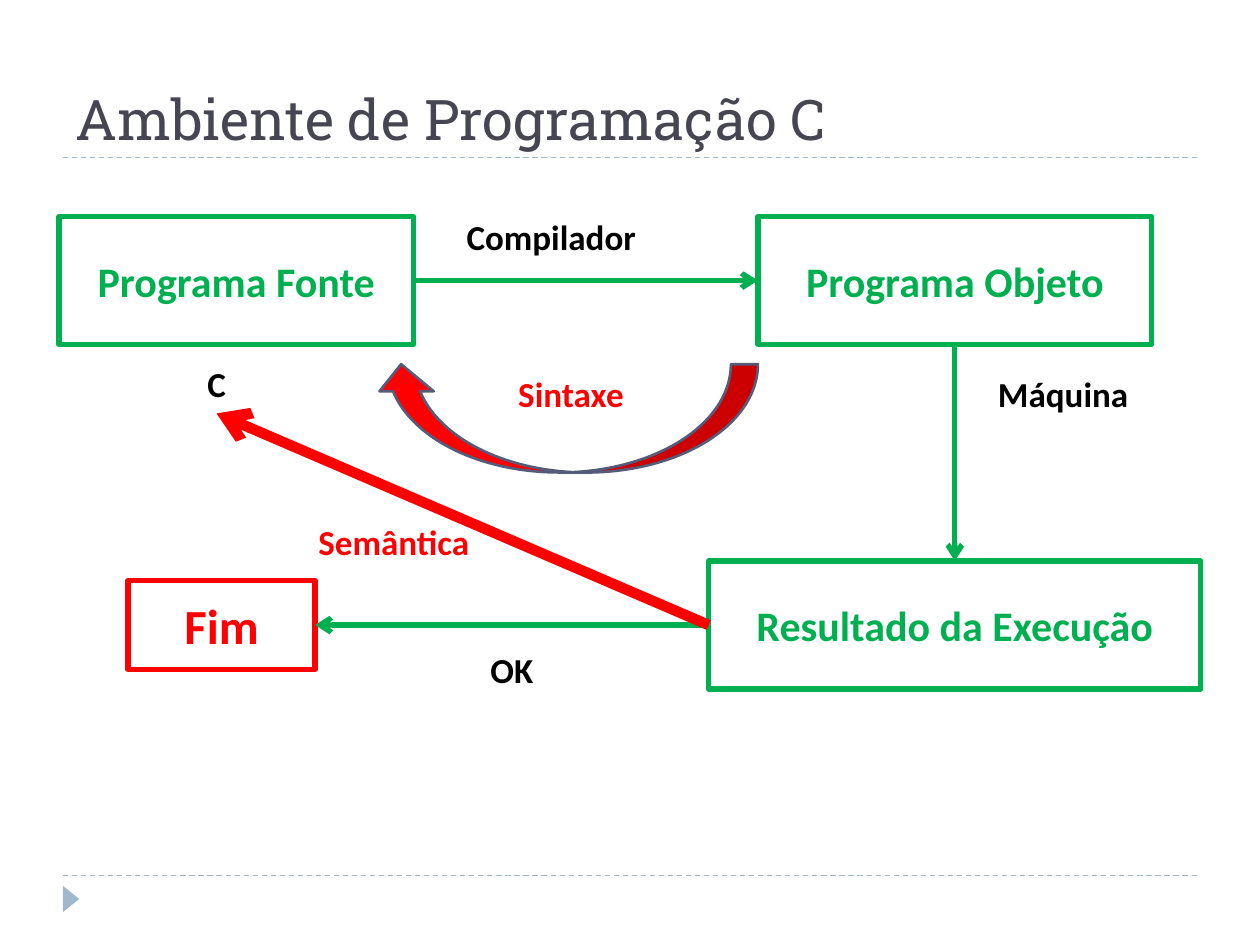
from lxml import etree
from pptx import Presentation
from pptx.dml.color import RGBColor
from pptx.enum.dml import MSO_LINE
from pptx.enum.shapes import MSO_CONNECTOR, MSO_SHAPE
from pptx.enum.text import MSO_ANCHOR, PP_ALIGN
from pptx.oxml.ns import qn
from pptx.util import Inches, Pt

RECTANGLE = MSO_SHAPE.RECTANGLE
TRIANGLE = MSO_SHAPE.ISOSCELES_TRIANGLE
CURVED_ARROW = MSO_SHAPE.CURVED_UP_ARROW
STRAIGHT = MSO_CONNECTOR.STRAIGHT
DASH = MSO_LINE.DASH
MIDDLE, BOTTOM = MSO_ANCHOR.MIDDLE, MSO_ANCHOR.BOTTOM
LEFT, CENTER = PP_ALIGN.LEFT, PP_ALIGN.CENTER

WHITE = RGBColor(0xFF, 0xFF, 0xFF)
BLACK = RGBColor(0, 0, 0)
GREEN = RGBColor(0x00, 0xB0, 0x50)
RED = RGBColor(0xFF, 0, 0)
SLATE = RGBColor(0x46, 0x46, 0x53)
OUTLINE = RGBColor(0x54, 0x5C, 0x79)
PALE_BLUE = RGBColor(0x9F, 0xB8, 0xCD)

BODY_FONT, TITLE_FONT = "Calibri", "Roboto Slab"
WIDTH, HEIGHT = Inches(10), Inches(7.5)
UNIT = WIDTH / 64  # the slide is a grid of 64 columns by 48 rows
TOP_SIDE, LEFT_SIDE, BOTTOM_SIDE, RIGHT_SIDE = range(4)


def grid(*cells):
    return [round(cell * UNIT) for cell in cells]


def write(shape, text, size, color, font=BODY_FONT, bold=True,
          align=CENTER, anchor=MIDDLE):
    frame = shape.text_frame
    frame.word_wrap = True
    frame.vertical_anchor = anchor
    paragraph = frame.paragraphs[0]
    paragraph.alignment = align
    run = paragraph.add_run()
    run.text = text
    run.font.name = font
    run.font.size = Pt(size)
    run.font.bold = bold
    run.font.color.rgb = color


def add_figure(slide, kind, place, fill, line=None, weight=1.5):
    shape = slide.shapes.add_shape(kind, *grid(*place))
    shape.shadow.inherit = False
    shape.fill.solid()
    shape.fill.fore_color.rgb = fill
    if line is None:
        shape.line.fill.background()
    else:
        shape.line.color.rgb = line
        shape.line.width = Pt(weight)
    return shape


def add_box(slide, text, place, color, size=24):
    box = add_figure(slide, RECTANGLE, place, WHITE, color, 3)
    write(box, text, size, color)
    return box


def add_label(slide, text, column, row, color=BLACK, columns=12):
    label = add_figure(slide, RECTANGLE, (column, row, columns, 3), WHITE, WHITE)
    write(label, text, 20, color)


def add_line(slide, start, end, color, weight):
    connector = slide.shapes.add_connector(STRAIGHT, *grid(*start, *end))
    connector.line.color.rgb = color
    connector.line.width = Pt(weight)
    etree.SubElement(connector._element.spPr, qn("a:effectLst"))
    return connector


def add_arrow(slide, source, side, target=None, target_side=None,
              end=(0, 0), color=GREEN, weight=3):
    """Arrow from a box side to another box side, or to a free grid point."""
    arrow = add_line(slide, (0, 0), end, color, weight)
    arrow.begin_connect(source, side)
    if target is not None:
        arrow.end_connect(target, target_side)
    etree.SubElement(arrow.line._get_or_add_ln(), qn("a:tailEnd"), type="arrow")


def add_frame(slide):
    # Dashed rules and corner marker
    for row in (8, 44.48):
        rule = add_line(slide, (3.2, row), (60.8, row), PALE_BLUE, 0.75)
        rule.line.dash_style = DASH
    marker = add_figure(slide, TRIANGLE, (2.94, 45.25, 1.34, 0.83), PALE_BLUE)
    marker.rotation = 90

    # Title
    title = slide.shapes.add_textbox(*grid(3.2, 1.1, 57.6, 6.9))
    write(title, "Ambiente de Programação C", 32, SLATE, TITLE_FONT,
          bold=False, align=LEFT, anchor=BOTTOM)


def add_flow(slide):
    # Error labels lie behind the return arrows
    add_label(slide, "Semântica", 14, 26, RED)
    add_label(slide, "Sintaxe", 23, 18.5, RED)

    # Stages
    source = add_box(slide, "Programa Fonte", (3, 11, 18, 6.5), GREEN)
    compiled = add_box(slide, "Programa Objeto", (38.5, 11, 20, 6.5), GREEN)
    result = add_box(slide, "Resultado da Execução", (36, 28.5, 25, 6.5), GREEN)
    finish = add_box(slide, "Fim", (6.5, 29.5, 9.5, 4.5), RED, 28)

    # Forward steps
    add_arrow(slide, source, RIGHT_SIDE, compiled, LEFT_SIDE)
    add_arrow(slide, compiled, BOTTOM_SIDE, result, TOP_SIDE)
    add_arrow(slide, result, LEFT_SIDE, finish, RIGHT_SIDE)
    add_label(slide, "Máquina", 49, 18.5, columns=10)
    add_label(slide, "Compilador", 22, 10.5)
    add_label(slide, "C", 5, 18)
    add_label(slide, "OK", 20, 32.5)

    # Returns to the source after an error
    syntax = add_figure(slide, CURVED_ARROW, (19, 18.5, 19.5, 5.5), RED, OUTLINE)
    syntax._element.spPr.find(qn("a:xfrm")).set("flipH", "1")
    add_arrow(slide, result, LEFT_SIDE, end=(11, 21), color=RED, weight=6)


def main():
    presentation = Presentation()
    presentation.slide_width, presentation.slide_height = WIDTH, HEIGHT
    slide = presentation.slides.add_slide(presentation.slide_layouts[6])
    add_frame(slide)
    add_flow(slide)
    presentation.save("out.pptx")


if __name__ == "__main__":
    main()
